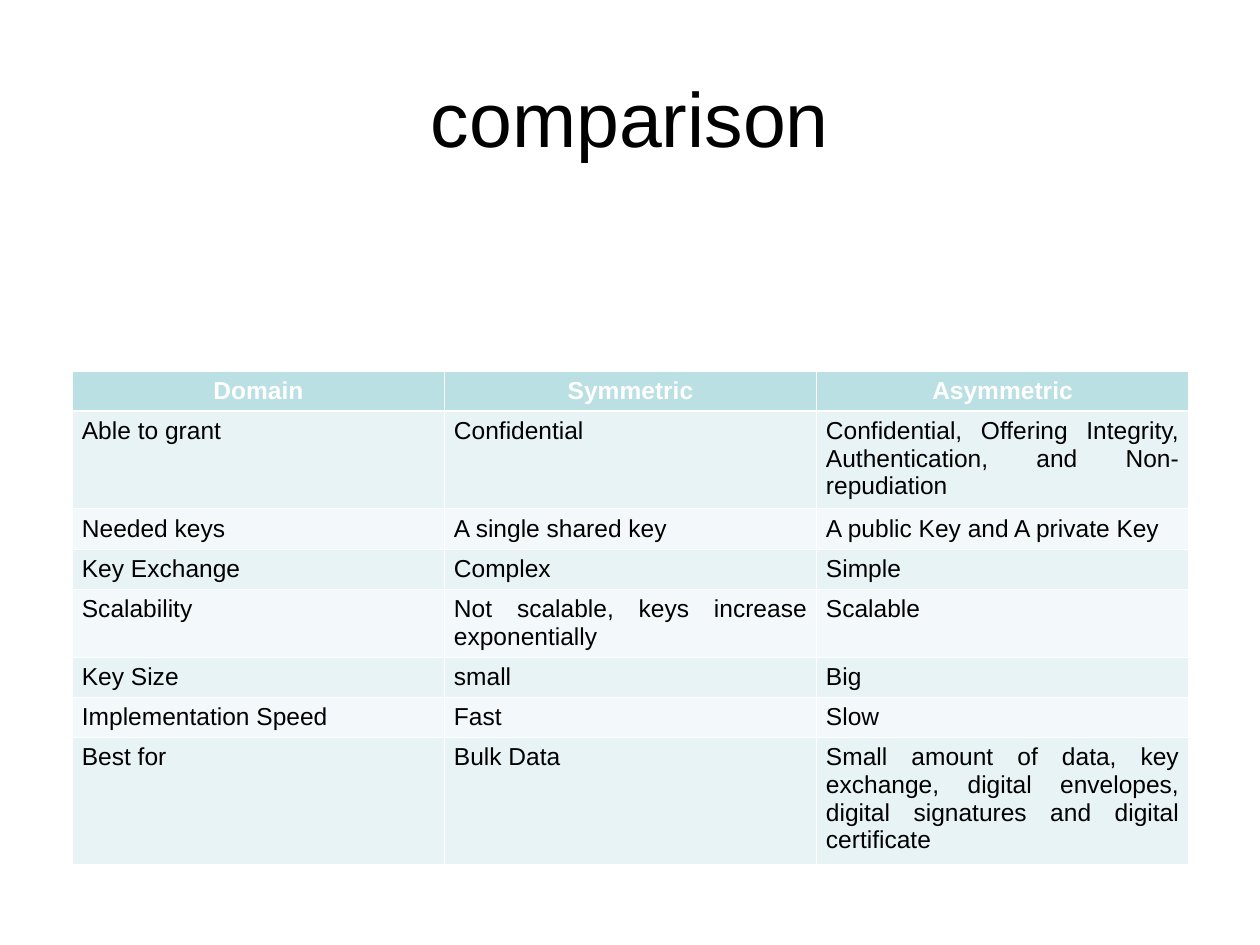
from lxml import etree
from pptx import Presentation
from pptx.dml.color import RGBColor
from pptx.enum.text import MSO_ANCHOR, PP_ALIGN
from pptx.oxml.ns import qn
from pptx.util import Pt

CENTER, JUSTIFY = PP_ALIGN.CENTER, PP_ALIGN.JUSTIFY
MIDDLE = MSO_ANCHOR.MIDDLE
TITLE_ONLY = 5
WHITE, BLACK = "FFFFFF", "000000"
HEADER_FILL, ODD_FILL, EVEN_FILL = "BBE0E3", "E7F3F4", "F3F9FA"


def write(frame, text, size=14, color=BLACK, bold=False, align=JUSTIFY):
    paragraph = frame.paragraphs[0]
    paragraph.alignment = align
    run = paragraph.add_run()
    run.text = text
    run.font.name = "Arial"
    run.font.size = Pt(size)
    run.font.bold = bold
    run.font.color.rgb = RGBColor.from_string(color)


def add_border(cell, side, width):
    properties = cell._tc.get_or_add_tcPr()
    line = etree.Element(qn(f"a:ln{side}"), w=str(Pt(width)))
    fill = etree.SubElement(line, qn("a:solidFill"))
    etree.SubElement(fill, qn("a:srgbClr"), val=WHITE)
    properties.insert("LRTB".index(side), line)


presentation = Presentation()
presentation.slide_width, presentation.slide_height = Pt(720), Pt(540)
slide = presentation.slides.add_slide(presentation.slide_layouts[TITLE_ONLY])

title = slide.shapes.title
title.left, title.top, title.width, title.height = Pt(36), Pt(21.6), Pt(648), Pt(90)
title.text_frame.vertical_anchor = MIDDLE
write(title.text_frame, "comparison", size=44, align=CENTER)

rows = [
    ("Domain", "Symmetric", "Asymmetric"),
    ("Able to grant", "Confidential",
     "Confidential, Offering Integrity, Authentication, and Non-repudiation"),
    ("Needed keys", "A single shared key", "A public Key and A private Key"),
    ("Key Exchange", "Complex", "Simple"),
    ("Scalability", "Not scalable, keys increase exponentially", "Scalable"),
    ("Key Size", "small", "Big"),
    ("Implementation Speed", "Fast", "Slow"),
    ("Best for", "Bulk Data",
     "Small amount of data, key exchange, digital envelopes, "
     "digital signatures and digital certificate"),
]
row_heights = [22.4, 55.8, 22.4, 22.4, 38.8, 22.4, 22.4, 72.4]
column_width = 212.6

table = slide.shapes.add_table(
    len(rows), 3, Pt(41.4), Pt(212), Pt(3 * column_width), Pt(sum(row_heights))
).table
for column in table.columns:
    column.width = Pt(column_width)

for row_index, (texts, height) in enumerate(zip(rows, row_heights)):
    table.rows[row_index].height = Pt(height)
    is_header = row_index == 0
    row_fill = HEADER_FILL if is_header else ODD_FILL if row_index % 2 else EVEN_FILL
    for column_index, text in enumerate(texts):
        cell = table.cell(row_index, column_index)
        cell.margin_left = cell.margin_right = Pt(5.4)
        cell.margin_top = cell.margin_bottom = Pt(3.6)
        cell.fill.solid()
        cell.fill.fore_color.rgb = RGBColor.from_string(row_fill)
        for side in "LRTB":
            is_header_edge = (row_index, side) in [(0, "B"), (1, "T")]
            add_border(cell, side, 1.5 if is_header_edge else 0.45)
        write(cell.text_frame, text, color=WHITE if is_header else BLACK,
              bold=is_header, align=CENTER if is_header else JUSTIFY)

presentation.save("out.pptx")
